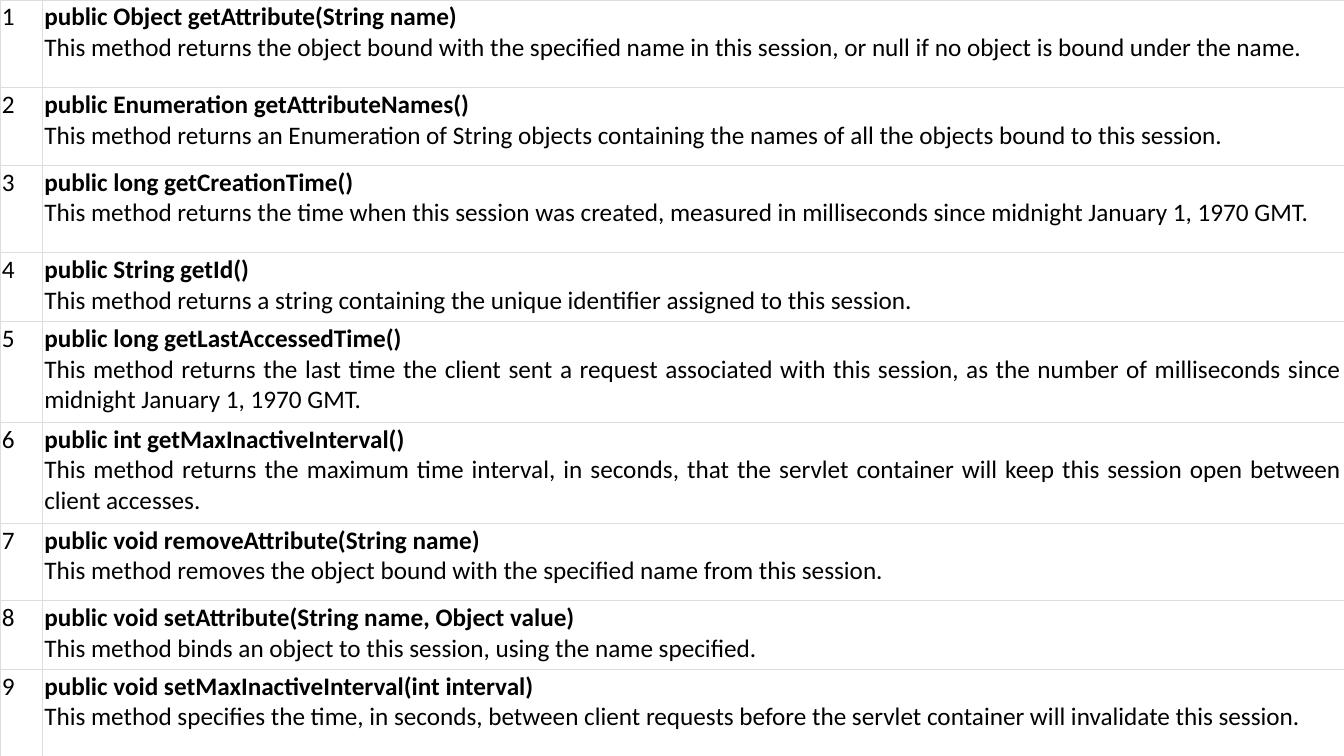
"""Build a one-slide reference table of the session methods."""
from dataclasses import dataclass

from lxml.etree import SubElement
from pptx import Presentation
from pptx.dml.color import RGBColor as Color
from pptx.enum.text import MSO_ANCHOR as Anchor, PP_ALIGN as Align
from pptx.oxml.ns import qn
from pptx.util import Inches, Pt


@dataclass(frozen=True)
class Theme:
    font: str = "Calibri"
    size: int = 18
    text: str = "000000"
    fill: str = "FFFFFF"
    border: str = "DDDDDD"
    border_width: float = 0.75
    inset: float = 0.02


class SlideBuilder:
    def __init__(self, page, theme):
        self.page = page
        self.theme = theme

    def apply(self, target, formats):
        for name, value in formats.items():
            setattr(target, name, value)

    def add_borders(self, cell):
        properties = cell._tc.get_or_add_tcPr()
        for side in ("lnL", "lnR", "lnT", "lnB"):
            line = SubElement(properties, qn(f"a:{side}"), w=str(Pt(self.theme.border_width)))
            fill = SubElement(line, qn("a:solidFill"))
            SubElement(fill, qn("a:srgbClr"), val=self.theme.border)

    def add_paragraph(self, para, text, bold, align):
        para.alignment = align
        span = para.add_run()
        span.text = text
        self.apply(span.font, {"name": self.theme.font, "size": Pt(self.theme.size), "bold": bold})
        span.font.color.rgb = Color.from_string(self.theme.text)

    def fill_cell(self, cell, lines, align):
        margin = Inches(self.theme.inset)
        sides = ("left", "right", "top", "bottom")
        self.apply(cell, {f"margin_{side}": margin for side in sides})
        cell.vertical_anchor = Anchor.TOP
        self.add_borders(cell)
        cell.fill.solid()
        cell.fill.fore_color.rgb = Color.from_string(self.theme.fill)
        frame = cell.text_frame
        for index, (text, bold) in enumerate(lines):
            para = frame.add_paragraph() if index else frame.paragraphs[0]
            self.add_paragraph(para, text, bold, align)

    def add_method_table(self, methods, widths, heights):
        frame = self.page.shapes.add_table(
            len(methods), len(widths), 0, 0, Inches(sum(widths)), Inches(sum(heights)))
        table = frame.table
        self.apply(table, {"first_row": False, "horz_banding": False})
        for column, width in zip(table.columns, widths):
            column.width = Inches(width)
        for row, height in zip(table.rows, heights):
            row.height = Inches(height)
        for index, (signature, description) in enumerate(methods):
            self.fill_cell(table.cell(index, 0), [(str(index + 1), False)], Align.LEFT)
            lines = [(signature, True), (description, False)]
            self.fill_cell(table.cell(index, 1), lines, Align.JUSTIFY)


METHODS = [
    ("public Object getAttribute(String name)",
     "This method returns the object bound with the specified name in this session, "
     "or null if no object is bound under the name."),
    ("public Enumeration getAttributeNames()",
     "This method returns an Enumeration of String objects containing the names of "
     "all the objects bound to this session."),
    ("public long getCreationTime()",
     "This method returns the time when this session was created, measured in "
     "milliseconds since midnight January 1, 1970 GMT."),
    ("public String getId()",
     "This method returns a string containing the unique identifier assigned to this session."),
    ("public long getLastAccessedTime()",
     "This method returns the last time the client sent a request associated with this "
     "session, as the number of milliseconds since midnight January 1, 1970 GMT."),
    ("public int getMaxInactiveInterval()",
     "This method returns the maximum time interval, in seconds, that the servlet "
     "container will keep this session open between client accesses."),
    ("public void removeAttribute(String name)",
     "This method removes the object bound with the specified name from this session."),
    ("public void setAttribute(String name, Object value)",
     "This method binds an object to this session, using the name specified."),
    ("public void setMaxInactiveInterval(int interval)",
     "This method specifies the time, in seconds, between client requests before the "
     "servlet container will invalidate this session."),
]
COLUMN_WIDTHS = [0.42, 12.91]
ROW_HEIGHTS = [0.87, 0.77, 0.87, 0.68, 1, 1, 0.77, 0.68, 0.87]

deck = Presentation()
deck.slide_width = Inches(13.33)
deck.slide_height = Inches(7.5)
blank_layout = deck.slide_layouts.get_by_name("Blank")
builder = SlideBuilder(deck.slides.add_slide(blank_layout), Theme())
builder.add_method_table(METHODS, COLUMN_WIDTHS, ROW_HEIGHTS)
deck.save("out.pptx")
